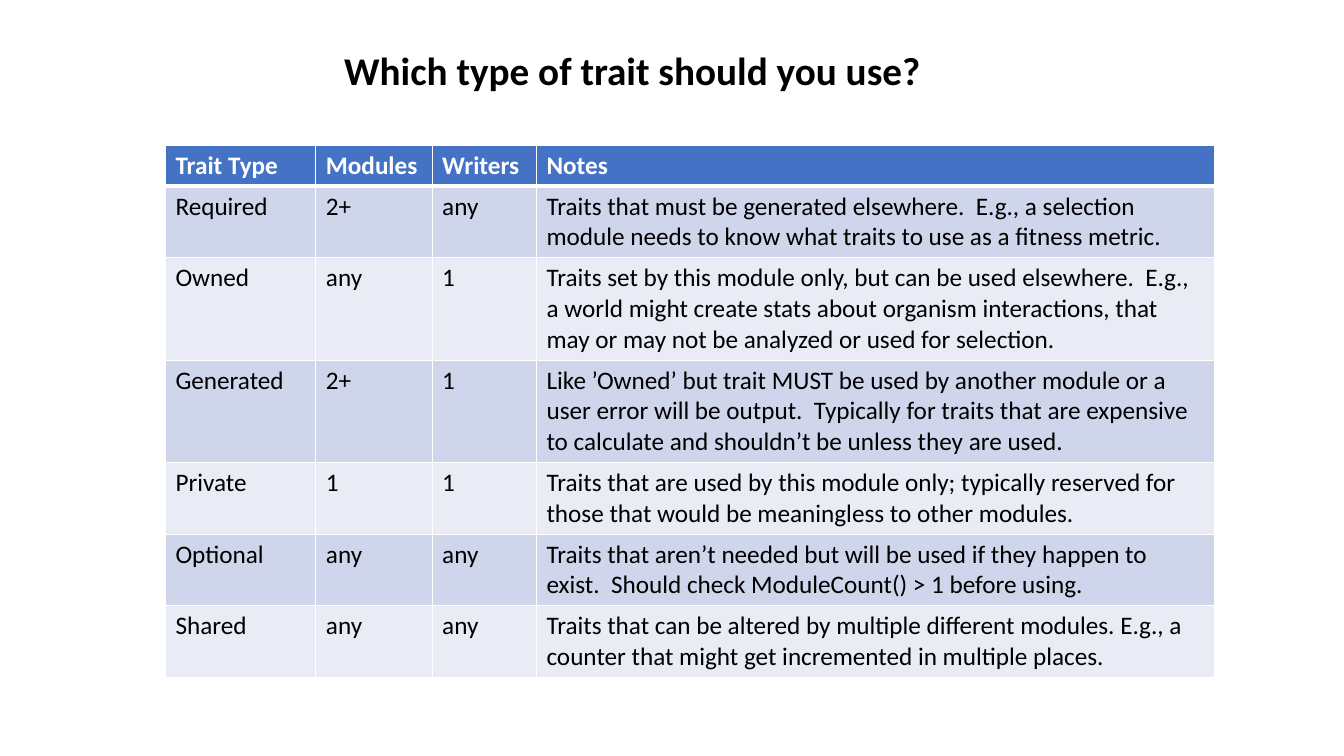
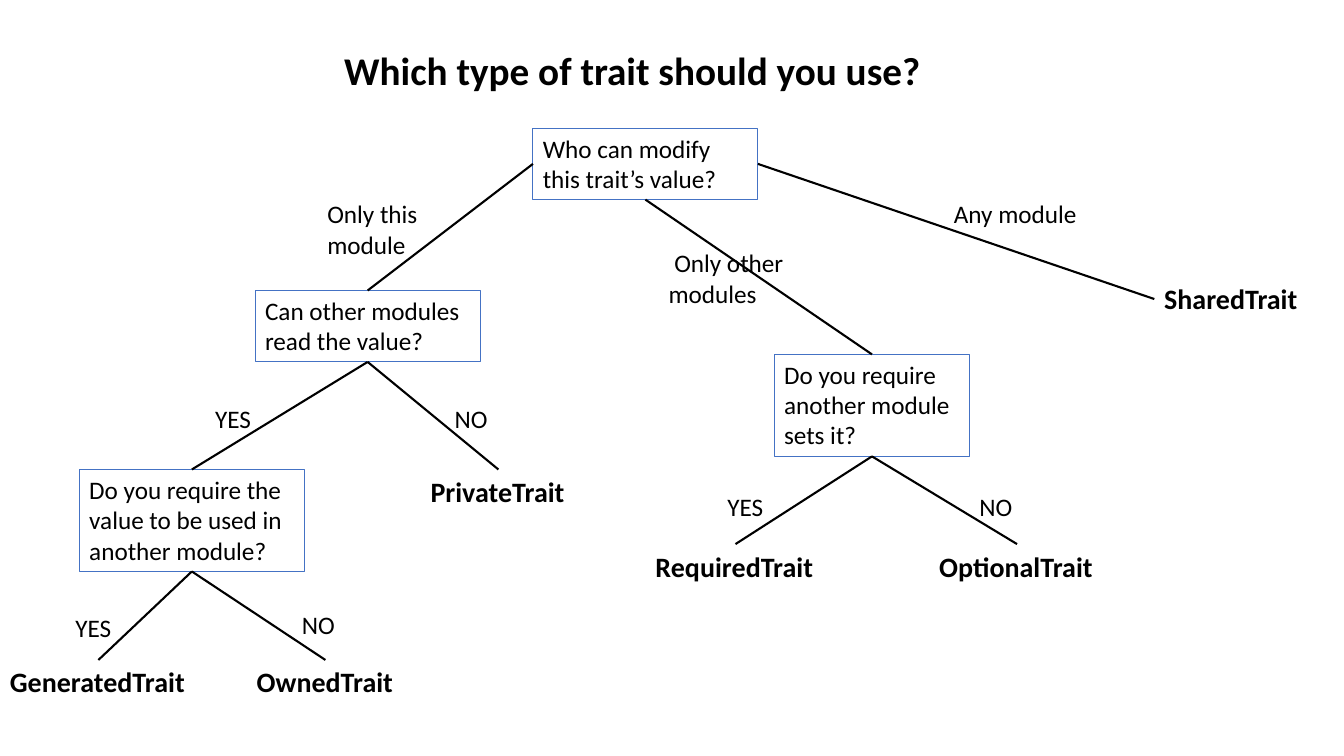
import pptx
import pptx.util
import pptx.dml.color
import pptx.enum.shapes
import pptx.enum.text
import pptx.oxml
import pptx.oxml.ns
from pptx.util import Cm, Pt

# Shared style
FONT = "Calibri"
COLORS = {
    "ink": "000000",
    "paper": "FFFFFF",
    "accent": "4472C4",
    "odd_row": "CFD5EA",
    "even_row": "E9EBF5",
}
TITLE = "Which type of trait should you use?"
TOP, LEFT, BOTTOM, RIGHT = range(4)  # connection sites of a rectangle

# Trait table
COLUMN_WIDTHS = [3.79, 2.93, 2.63, 17.1]
TRAIT_ROWS = [
    ("Trait Type", "Modules", "Writers", "Notes"),
    ("Required", "2+", "any",
     "Traits that must be generated elsewhere.  E.g., a selection module needs "
     "to know what traits to use as a fitness metric."),
    ("Owned", "any", "1",
     "Traits set by this module only, but can be used elsewhere.  E.g., a world "
     "might create stats about organism interactions, that may or may not be "
     "analyzed or used for selection."),
    ("Generated", "2+", "1",
     "Like ’Owned’ but trait MUST be used by another module or a user error will "
     "be output.  Typically for traits that are expensive to calculate and "
     "shouldn’t be unless they are used."),
    ("Private", "1", "1",
     "Traits that are used by this module only; typically reserved for those "
     "that would be meaningless to other modules."),
    ("Optional", "any", "any",
     "Traits that aren’t needed but will be used if they happen to exist.  "
     "Should check ModuleCount() > 1 before using."),
    ("Shared", "any", "any",
     "Traits that can be altered by multiple different modules. E.g., a counter "
     "that might get incremented in multiple places."),
]

# Decision tree: left, top, width, height in cm
QUESTIONS = {
    "who": ("Who can modify this trait’s value?", 13.43, 3.23, 5.67, 1.8),
    "readable": ("Can other modules read the value?", 6.43, 7.32, 5.67, 1.8),
    "used": ("Do you require the value to be used in another module?",
             2, 11.83, 5.67, 2.57),
    "set": ("Do you require another module sets it?", 19.51, 8.93, 4.93, 2.57),
}
# Trait: left, top, width in cm
TRAITS = {
    "OptionalTrait": (23.42, 13.71, 4.42),
    "RequiredTrait": (16.27, 13.71, 4.53),
    "PrivateTrait": (10.6, 11.83, 3.92),
    "OwnedTrait": (6.22, 16.63, 3.96),
    "GeneratedTrait": (0, 16.63, 4.96),
    "SharedTrait": (29.09, 6.98, 3.92),
}
# Answer: text, left, top, width, height in cm, wraps
ANSWERS = [
    ("Only this module", 8, 4.88, 3.98, 1.8, True),
    (" Only other modules", 16.6, 6.12, 3.41, 2.57, True),
    ("Any module", 23.79, 4.88, 3.63, 1.03, False),
    ("YES", 5.17, 10.04, 1.42, 1.03, False),
    ("NO", 11.21, 10.04, 1.35, 1.03, False),
    ("YES", 1.65, 15.31, 1.42, 1.03, False),
    ("NO", 7.36, 15.22, 1.35, 1.03, False),
    ("YES", 18.08, 12.25, 1.42, 1.03, False),
    ("NO", 24.43, 12.25, 1.35, 1.03, False),
]
BRANCHES = [
    ("who", LEFT, "readable", TOP),
    ("who", BOTTOM, "set", TOP),
    ("who", RIGHT, "SharedTrait", LEFT),
    ("readable", BOTTOM, "used", TOP),
    ("readable", BOTTOM, "PrivateTrait", TOP),
    ("set", BOTTOM, "OptionalTrait", TOP),
    ("set", BOTTOM, "RequiredTrait", TOP),
    ("used", BOTTOM, "GeneratedTrait", TOP),
    ("used", BOTTOM, "OwnedTrait", TOP),
]


def rgb(color):
    return pptx.dml.color.RGBColor.from_string(COLORS[color])


def write(frame, text, size=18, bold=False, color="ink"):
    frame.text = text
    for paragraph in frame.paragraphs:
        paragraph.alignment = pptx.enum.text.PP_ALIGN.LEFT
        for run in paragraph.runs:
            run.font.name = FONT
            run.font.size = Pt(size)
            run.font.bold = bold
            run.font.color.rgb = rgb(color)


def add_titled_slide(deck):
    slide = deck.slides.add_slide(deck.slide_layouts[5])
    slide.background.fill.solid()
    slide.background.fill.fore_color.rgb = rgb("paper")
    heading = slide.shapes.title
    heading.left, heading.top = Cm(8.42), Cm(1.03)
    heading.width, heading.height = Cm(15.2), Cm(1.45)
    write(heading.text_frame, TITLE, 28, True)
    heading.text_frame.word_wrap = False
    heading.text_frame.auto_size = pptx.enum.text.MSO_AUTO_SIZE.NONE
    return slide


def set_borders(cell, top, bottom):
    properties = cell._tc.get_or_add_tcPr()
    for side, points in (("L", 1), ("R", 1), ("T", top), ("B", bottom)):
        properties.append(pptx.oxml.parse_xml(
            f'<a:ln{side} {pptx.oxml.ns.nsdecls("a")} w="{Pt(points)}">'
            f'<a:solidFill><a:srgbClr val="{COLORS["paper"]}"/></a:solidFill>'
            f'</a:ln{side}>'))


def add_trait_table(slide):
    grid = slide.shapes.add_table(
        len(TRAIT_ROWS), len(COLUMN_WIDTHS), Cm(4.17), Cm(3.66),
        Cm(sum(COLUMN_WIDTHS)), Cm(1.03 * len(TRAIT_ROWS))).table
    for column, width in zip(grid.columns, COLUMN_WIDTHS):
        column.width = Cm(width)
    for row, texts in enumerate(TRAIT_ROWS):
        header = row == 0
        band = "accent" if header else ("even_row", "odd_row")[row % 2]
        for column, text in enumerate(texts):
            cell = grid.cell(row, column)
            write(cell.text_frame, text, bold=header,
                  color="paper" if header else "ink")
            set_borders(cell, 3 if row == 1 else 1, 3 if header else 1)
            cell.fill.solid()
            cell.fill.fore_color.rgb = rgb(band)


def add_question(slide, text, left, top, width, height):
    question = slide.shapes.add_shape(
        pptx.enum.shapes.MSO_SHAPE.RECTANGLE,
        Cm(left), Cm(top), Cm(width), Cm(height))
    question.shadow.inherit = False
    question.fill.background()
    question.line.color.rgb = rgb("accent")
    question.line.width = Pt(0.75)
    question.text_frame.word_wrap = True
    question.text_frame.vertical_anchor = pptx.enum.text.MSO_ANCHOR.TOP
    write(question.text_frame, text)
    return question


def add_label(slide, text, left, top, width, height, wraps=False, **style):
    label = slide.shapes.add_textbox(Cm(left), Cm(top), Cm(width), Cm(height))
    label.text_frame.word_wrap = wraps
    write(label.text_frame, text, **style)
    return label


def add_branch(slide, parent, parent_site, child, child_site):
    branch = slide.shapes.add_connector(
        pptx.enum.shapes.MSO_CONNECTOR.STRAIGHT, 0, 0, 0, 0)
    branch.begin_connect(parent, parent_site)
    branch.end_connect(child, child_site)
    branch.line.color.rgb = rgb("ink")
    branch.line.width = Pt(1.5)
    branch._element.spPr.append(pptx.oxml.parse_xml(
        f'<a:effectLst {pptx.oxml.ns.nsdecls("a")}/>'))


def add_decision_tree(slide):
    nodes = {key: add_question(slide, *question)
             for key, question in QUESTIONS.items()}
    for trait, place in TRAITS.items():
        nodes[trait] = add_label(slide, trait, *place, 1.11, size=20, bold=True)
    for answer in ANSWERS:
        add_label(slide, *answer)
    for parent, parent_site, child, child_site in BRANCHES:
        add_branch(slide, nodes[parent], parent_site, nodes[child], child_site)


def main():
    deck = pptx.Presentation()
    deck.slide_width, deck.slide_height = Cm(33.87), Cm(19.05)
    add_trait_table(add_titled_slide(deck))
    add_decision_tree(add_titled_slide(deck))
    deck.save("out.pptx")


main()
